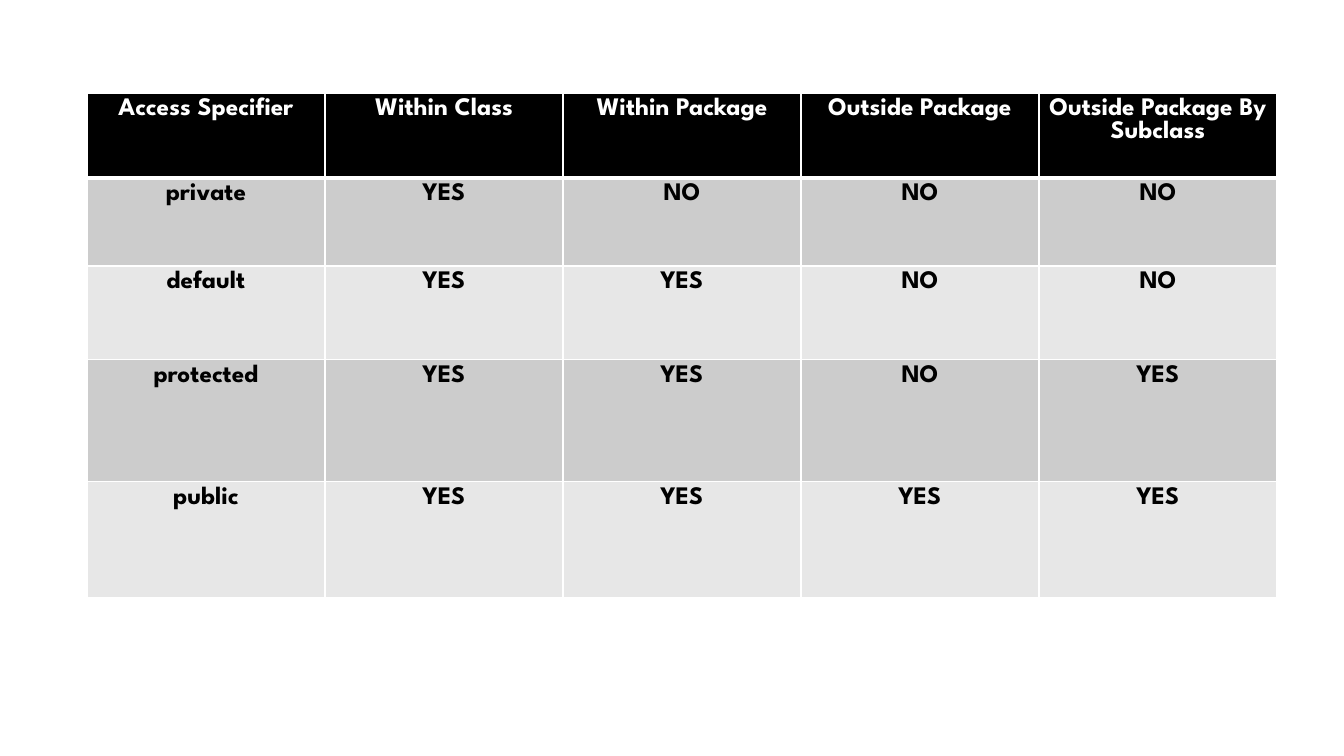
"""Build a slide with a table of access specifiers and their visibility."""
from dataclasses import dataclass

from lxml.etree import SubElement
from pptx import Presentation
from pptx.dml.color import RGBColor as Color
from pptx.enum.text import PP_ALIGN as Align
from pptx.oxml.ns import qn
from pptx.util import Pt


@dataclass(frozen=True)
class Theme:
    font: str = "League Spartan"
    size: int = 18
    white: str = "FFFFFF"
    black: str = "000000"
    bands: tuple = ("E7E7E7", "CCCCCC")
    thin: int = 1
    thick: int = 3


def px(length):
    return round(length * 914400 / 100.8)


def add_border(cell, side, color, width):
    line = SubElement(cell._tc.get_or_add_tcPr(), qn(f"a:ln{side}"), w=str(Pt(width)))
    fill = SubElement(line, qn("a:solidFill"))
    SubElement(fill, qn("a:srgbClr"), val=color)


theme = Theme()
left, top, column_width = 87, 93, 238
row_heights = [85, 88, 94, 122, 116]
rows = [
    ["Access Specifier", "Within Class", "Within Package", "Outside Package",
     "Outside Package By Subclass"],
    ["private", "YES", "NO", "NO", "NO"],
    ["default", "YES", "YES", "NO", "NO"],
    ["protected", "YES", "YES", "NO", "YES"],
    ["public", "YES", "YES", "YES", "YES"],
]

deck = Presentation()
deck.slide_width, deck.slide_height = px(1344), px(756)
page = deck.slides.add_slide(deck.slide_layouts[6])

column_count = len(rows[0])
access_table = page.shapes.add_table(
    len(rows), column_count, px(left), px(top),
    px(column_width * column_count), px(sum(row_heights))).table
for column in access_table.columns:
    column.width = px(column_width)

for row_index, (height, words) in enumerate(zip(row_heights, rows)):
    access_table.rows[row_index].height = px(height)
    is_header = row_index == 0
    background = theme.black if is_header else theme.bands[row_index % 2]
    widths = {
        "L": theme.thin,
        "R": theme.thin,
        "T": theme.thick if row_index == 1 else theme.thin,
        "B": theme.thick if is_header else theme.thin,
    }
    for column_index, word in enumerate(words):
        cell = access_table.cell(row_index, column_index)
        for side, width in widths.items():
            add_border(cell, side, theme.white, width)
        cell.fill.solid()
        cell.fill.fore_color.rgb = Color.from_string(background)
        cell.text_frame.text = word
        para = cell.text_frame.paragraphs[0]
        para.alignment = Align.CENTER
        font = para.runs[0].font
        font.name, font.size, font.bold = theme.font, Pt(theme.size), True
        font.color.rgb = Color.from_string(theme.white if is_header else theme.black)

deck.save("out.pptx")
